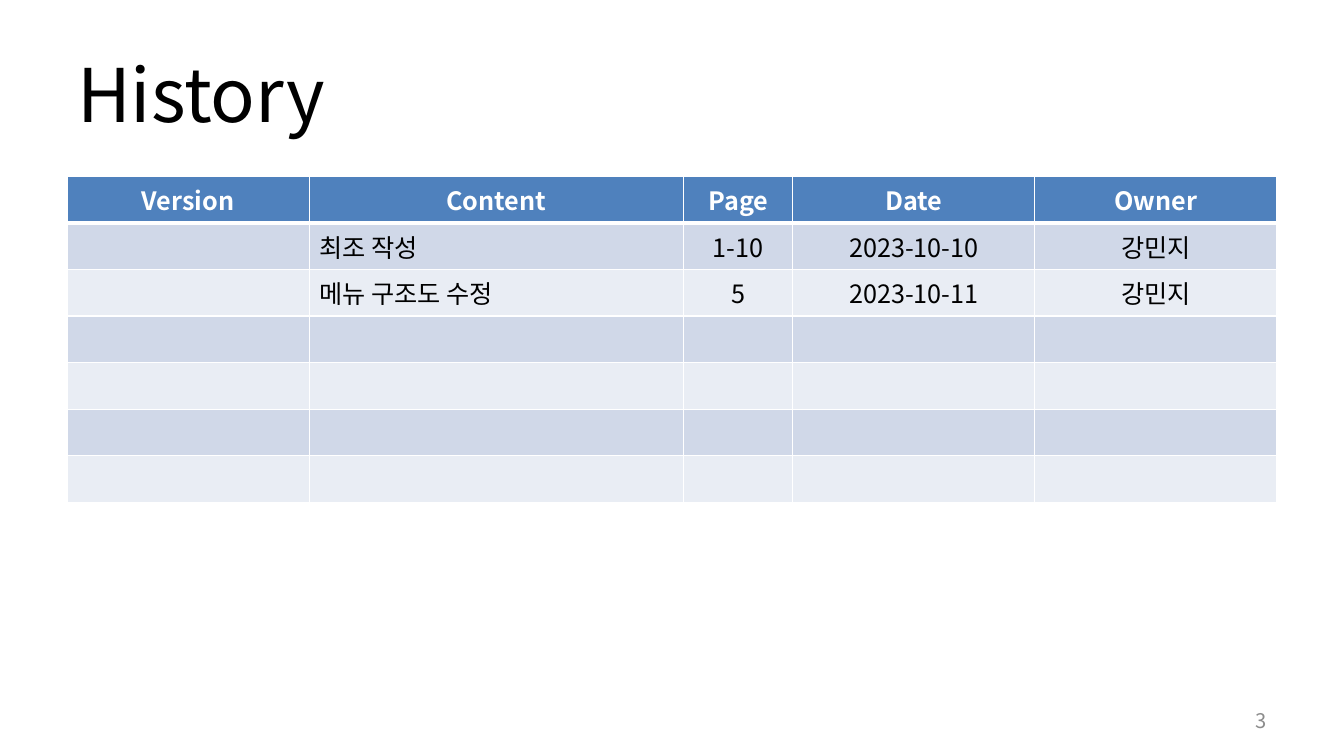
from dataclasses import dataclass

from lxml import etree
from pptx import Presentation
from pptx.dml.color import RGBColor
from pptx.enum.text import MSO_ANCHOR, PP_ALIGN
from pptx.oxml.ns import qn
from pptx.slide import Slide
from pptx.table import _Cell
from pptx.text.text import TextFrame
from pptx.util import Pt

LEFT, CENTER, RIGHT = PP_ALIGN.LEFT, PP_ALIGN.CENTER, PP_ALIGN.RIGHT
MIDDLE = MSO_ANCHOR.MIDDLE
FONT = "Noto Sans CJK KR"
COLORS = {
    "ink": "000000",
    "paper": "FFFFFF",
    "muted": "8C8C8C",
    "head": "4F81BD",
    "odd": "D0D8E8",
    "even": "E9EDF4",
}
ROW_HIGH = 33.26
THIN, THICK = 1, 3


@dataclass
class Label:
    text: str
    left: float
    top: float
    width: float
    height: float
    size: float
    color: str
    align: PP_ALIGN


@dataclass
class Column:
    title: str
    width: float
    align: PP_ALIGN = CENTER


LABELS = [
    Label("History", 48, 21.6, 864, 90, 52.8, "ink", LEFT),
    Label("3", 688, 500.4, 224, 28.8, 14.4, "muted", RIGHT),
]
COLUMNS = [
    Column("Version", 172.8),
    Column("Content", 267.6, LEFT),
    Column("Page", 78),
    Column("Date", 172.8),
    Column("Owner", 172.8),
]
ENTRIES = [
    ["", "최조 작성", "1-10", "2023-10-10", "강민지"],
    ["", "메뉴 구조도 수정", "5", "2023-10-11", "강민지"],
]
SPARE = 4


def rgb(name: str) -> RGBColor:
    return RGBColor.from_string(COLORS[name])


def write(frame: TextFrame, text: str, size: float, color: str,
          align: PP_ALIGN, bold: bool = False) -> None:
    frame.text = text
    line = frame.paragraphs[0]
    line.alignment = align
    for run in line.runs:
        font = run.font
        font.size, font.bold = Pt(size), bold
        font.color.rgb = rgb(color)
        font.name = FONT
        # Hangul takes its typeface from the East Asian slot
        asian = etree.Element(qn("a:ea"), typeface=FONT)
        font._element.find(qn("a:latin")).addnext(asian)


def add_label(slide: Slide, label: Label) -> None:
    box = slide.shapes.add_textbox(Pt(label.left), Pt(label.top),
                                   Pt(label.width), Pt(label.height))
    frame = box.text_frame
    frame.word_wrap = True
    frame.vertical_anchor = MIDDLE
    write(frame, label.text, label.size, label.color, label.align)


def add_rules(cell: _Cell, top: float, bottom: float) -> None:
    """Draw white borders on all four sides of a cell."""
    props = cell._tc.get_or_add_tcPr()
    sides = {"lnL": THIN, "lnR": THIN, "lnT": top, "lnB": bottom}
    for side, width in sides.items():
        line = etree.SubElement(props, qn(f"a:{side}"), w=str(Pt(width)))
        fill = etree.SubElement(line, qn("a:solidFill"))
        etree.SubElement(fill, qn("a:srgbClr"), val=COLORS["paper"])


def add_history(slide: Slide) -> None:
    blanks = [[""] * len(COLUMNS)] * SPARE
    rows = [[col.title for col in COLUMNS], *ENTRIES, *blanks]
    total = sum(col.width for col in COLUMNS)
    frame = slide.shapes.add_table(len(rows), len(COLUMNS), Pt(48), Pt(126),
                                   Pt(total), Pt(ROW_HIGH * len(rows)))
    table = frame.table
    for x, col in enumerate(COLUMNS):
        table.columns[x].width = Pt(col.width)
    for y, texts in enumerate(rows):
        table.rows[y].height = Pt(ROW_HIGH)
        head = y == 0
        shade = "head" if head else "odd" if y % 2 else "even"
        for x, (col, text) in enumerate(zip(COLUMNS, texts)):
            cell = table.cell(y, x)
            add_rules(cell, THICK if y == 1 else THIN, THICK if head else THIN)
            cell.fill.solid()
            cell.fill.fore_color.rgb = rgb(shade)
            write(cell.text_frame, text, 18, "paper" if head else "ink",
                  CENTER if head else col.align, head)


def main() -> None:
    deck = Presentation()
    deck.slide_width, deck.slide_height = Pt(960), Pt(540)
    slide = deck.slides.add_slide(deck.slide_layouts[6])
    for label in LABELS:
        add_label(slide, label)
    add_history(slide)
    deck.save("out.pptx")


if __name__ == "__main__":
    main()
